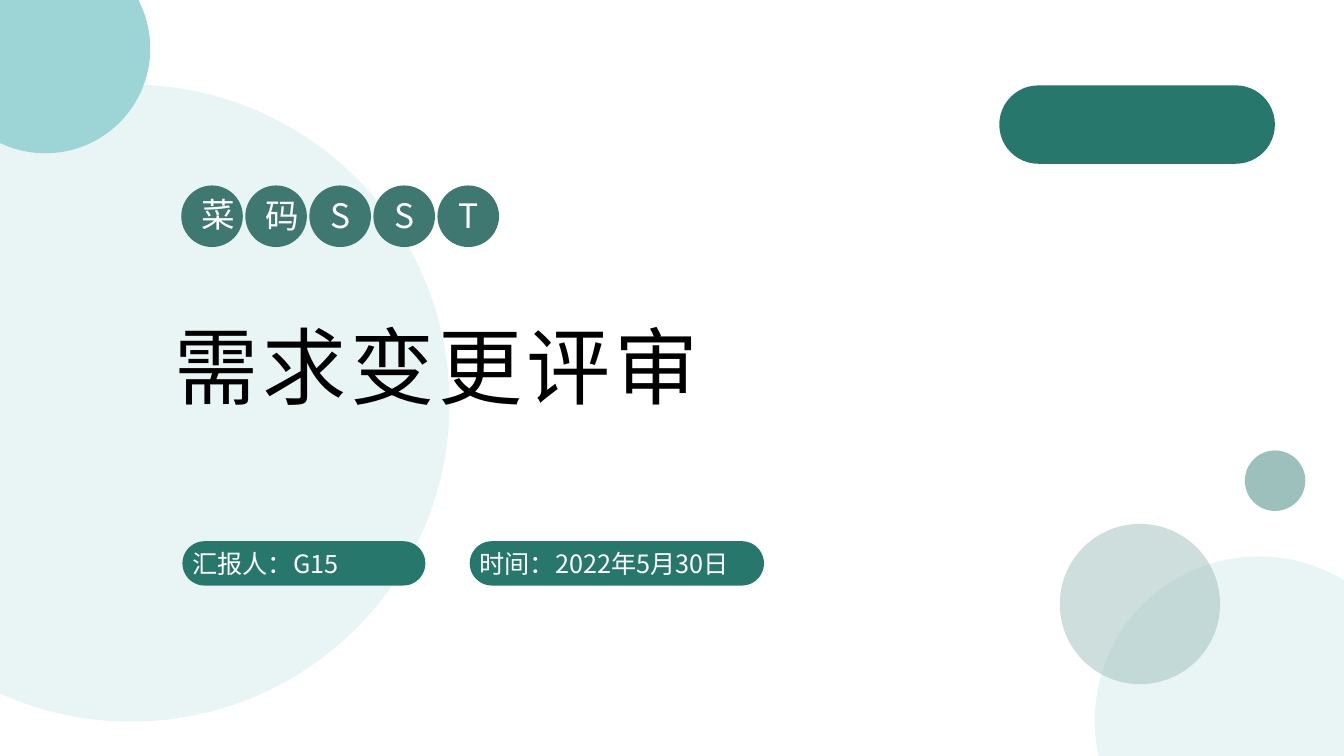
import pptx
import pptx.util
import pptx.dml.color
import pptx.enum.shapes
import pptx.enum.text
import pptx.oxml.ns
import lxml.etree

Pt = pptx.util.Pt
RGB = pptx.dml.color.RGBColor
KIND = pptx.enum.shapes.MSO_SHAPE
ALIGN = pptx.enum.text.PP_ALIGN
qn = pptx.oxml.ns.qn

FONT = "Noto Sans CJK SC"
HUE = {
    "pale": "E9F5F5",
    "aqua": "9DD5D6",
    "badge": "3E7871",
    "green": "27776D",
    "sage": "9DC0BC",
    "white": "FFFFFF",
    "black": "000000",
}

deck = pptx.Presentation()
deck.slide_width, deck.slide_height = Pt(960), Pt(540)
slide = deck.slides.add_slide(deck.slide_layouts[6])


def form(kind, box, hue, alpha=None):
    shape = slide.shapes.add_shape(kind, *map(Pt, box))
    shape.shadow.inherit = False
    shape.line.fill.background()
    shape.fill.solid()
    shape.fill.fore_color.rgb = RGB.from_string(HUE[hue])
    if kind == KIND.ROUNDED_RECTANGLE:
        shape.adjustments[0] = 0.5
    if alpha:
        tint = shape.fill._xPr.find(".//" + qn("a:srgbClr"))
        lxml.etree.SubElement(tint, qn("a:alpha"), val=str(alpha * 1000))


def write(text, box, size=18, hue="white", align=ALIGN.LEFT, gap=None, right=7.2):
    frame = slide.shapes.add_textbox(*map(Pt, box)).text_frame
    frame.word_wrap = True
    frame.margin_right = Pt(right)
    frame.auto_size = pptx.enum.text.MSO_AUTO_SIZE.SHAPE_TO_FIT_TEXT
    para = frame.paragraphs[0]
    para.alignment = align
    run = para.add_run()
    run.text = text
    run.font.size = Pt(size)
    run.font.name = FONT
    run.font.color.rgb = RGB.from_string(HUE[hue])
    props = run.font._element
    lxml.etree.SubElement(props, qn("a:ea"), typeface=FONT)
    if gap:
        props.set("spc", str(gap * 100))


# Large circles on the left
form(KIND.OVAL, (-133.9, 60.5, 455, 455), "pale")
form(KIND.OVAL, (-42.5, -40.3, 149.8, 149.8), "aqua")

# Team name, one letter per badge
for i, sign in enumerate("菜码SST"):
    left = 129.5 + 45.75 * i
    form(KIND.OVAL, (left, 132.5, 44, 44), "badge")
    top = 134.9 if i == 0 else 135.6
    write(sign, (left + 7, top, 30.2, 36), size=24, align=ALIGN.CENTER)

# Title
write("需求变更评审", (117.4, 221.2, 725.8, 79.9), size=60, hue="black", gap=3)

# Circles at the lower right
form(KIND.OVAL, (782, 397.5, 234.7, 234.7), "pale")
form(KIND.OVAL, (889.2, 321.8, 43.2, 43.2), "sage")

# Speaker and date, each on one line in its pill
for text, left, width, room in (
    ("汇报人：G15", 130.3, 173.5, 172.8),
    ("时间：2022年5月30日", 335.5, 210.2, 213.1),
):
    form(KIND.ROUNDED_RECTANGLE, (left, 386.6, width, 31.7), "green")
    write(text, (left, 388.1, room, 28.8), right=0)

# Pill at the top right and the clear circle in front
form(KIND.ROUNDED_RECTANGLE, (713.8, 61, 196.9, 56), "green")
form(KIND.OVAL, (757, 374.2, 114.5, 114.5), "sage", alpha=51)

deck.save("out.pptx")
